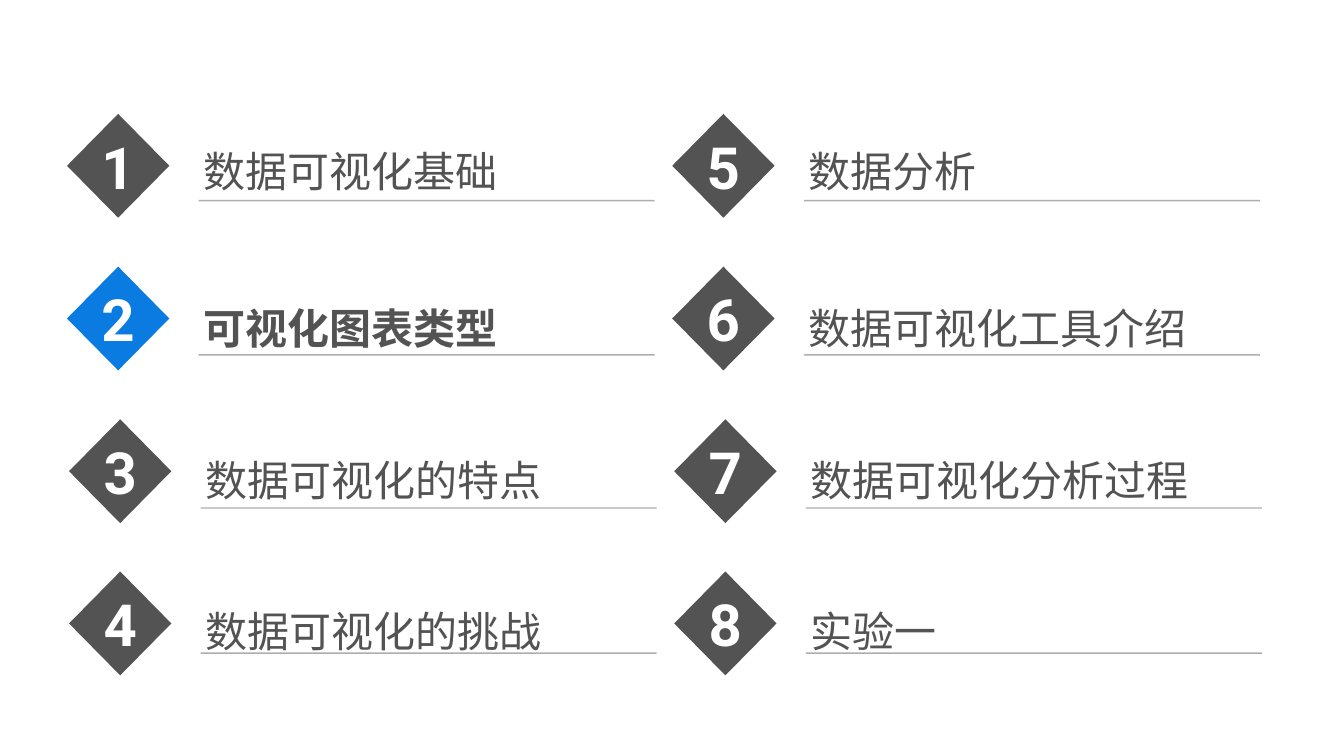
from dataclasses import dataclass

from lxml import etree
from pptx import Presentation
from pptx.dml.color import RGBColor
from pptx.enum.lang import MSO_LANGUAGE_ID
from pptx.enum.shapes import MSO_CONNECTOR, MSO_SHAPE
from pptx.enum.text import MSO_ANCHOR, MSO_AUTO_SIZE, PP_ALIGN
from pptx.oxml.ns import qn
from pptx.slide import Slide
from pptx.text.text import TextFrame
from pptx.util import Inches, Pt

DIAMOND = MSO_SHAPE.DIAMOND
STRAIGHT = MSO_CONNECTOR.STRAIGHT
MIDDLE = MSO_ANCHOR.MIDDLE
GROW = MSO_AUTO_SIZE.SHAPE_TO_FIT_TEXT
LEFT, CENTER = PP_ALIGN.LEFT, PP_ALIGN.CENTER
CHINESE = MSO_LANGUAGE_ID.SIMPLIFIED_CHINESE

GRAY = RGBColor(0x53, 0x53, 0x53)
BLUE = RGBColor(0x0A, 0x7B, 0xE0)
WHITE = RGBColor(0xFF, 0xFF, 0xFF)
RULE = RGBColor(0x5E, 0x5E, 0x5E)
FONT = "Roboto"

# Grid, in inches: two equal columns and four rows
COL_GAP = 12.01
MARK_LEFT, MARK_WIDTH, MARK_HEIGHT = 1.33, 2.03, 2.06
LABEL_LEFT, LABEL_WIDTH, LABEL_HEIGHT = 3.94, 9.26, 1.21
RULE_WIDTH = 9.05
CURRENT = 2


@dataclass
class Row:
    shift: float
    mark: float
    label: float
    rule: float


ROWS = [
    Row(0, 2.26, 2.79, 3.98),
    Row(0, 5.29, 5.9, 7.04),
    Row(0.04, 8.32, 8.91, 10.08),
    Row(0.04, 11.34, 11.91, 12.96),
]
TOPICS = [
    "数据可视化基础", "可视化图表类型", "数据可视化的特点", "数据可视化的挑战",
    "数据分析", "数据可视化工具介绍", "数据可视化分析过程", "实验一",
]


def add_text(frame: TextFrame, text: str, size: int, color: RGBColor,
             bold: bool, align: PP_ALIGN) -> None:
    frame.margin_left = frame.margin_right = Inches(0.1)
    frame.margin_top = frame.margin_bottom = Inches(0.1)
    frame.word_wrap = True
    para = frame.paragraphs[0]
    para.alignment = align
    run = para.add_run()
    run.text = text
    font = run.font
    font.name, font.size, font.bold = FONT, Pt(size), bold
    font.color.rgb = color
    font.language_id = CHINESE
    east = etree.SubElement(run._r.get_or_add_rPr(), qn("a:ea"))
    east.set("typeface", FONT)


def add_mark(slide: Slide, number: int, left: float, top: float) -> None:
    mark = slide.shapes.add_shape(DIAMOND, Inches(left), Inches(top),
                                  Inches(MARK_WIDTH), Inches(MARK_HEIGHT))
    mark.shadow.inherit = False
    mark.fill.solid()
    mark.fill.fore_color.rgb = BLUE if number == CURRENT else GRAY
    mark.line.fill.background()
    mark.text_frame.vertical_anchor = MIDDLE
    add_text(mark.text_frame, str(number), 83, WHITE, True, CENTER)


def add_label(slide: Slide, text: str, left: float, top: float,
              bold: bool) -> None:
    box = slide.shapes.add_textbox(Inches(left), Inches(top),
                                   Inches(LABEL_WIDTH), Inches(LABEL_HEIGHT))
    add_text(box.text_frame, text, 60, GRAY, bold, LEFT)
    box.text_frame.auto_size = GROW


def add_rule(slide: Slide, left: float, top: float) -> None:
    """Draw a half-transparent line under a topic."""
    rule = slide.shapes.add_connector(STRAIGHT, Inches(left), Inches(top),
                                      Inches(left + RULE_WIDTH), Inches(top))
    rule.line.width = Pt(2)
    rule.line.color.rgb = RULE
    props = rule._element.spPr
    color = props.find(".//" + qn("a:srgbClr"))
    etree.SubElement(color, qn("a:alpha")).set("val", "50000")
    etree.SubElement(props, qn("a:effectLst"))


def main() -> None:
    deck = Presentation()
    deck.slide_width, deck.slide_height = Inches(26.67), Inches(15)
    slide = deck.slides.add_slide(deck.slide_layouts[6])
    for index, topic in enumerate(TOPICS):
        col, place = divmod(index, len(ROWS))
        row = ROWS[place]
        shift = col * COL_GAP + row.shift
        number = index + 1
        add_label(slide, topic, LABEL_LEFT + shift, row.label,
                  number == CURRENT)
        add_mark(slide, number, MARK_LEFT + shift, row.mark)
        add_rule(slide, LABEL_LEFT + shift, row.rule)
    deck.save("out.pptx")


if __name__ == "__main__":
    main()
